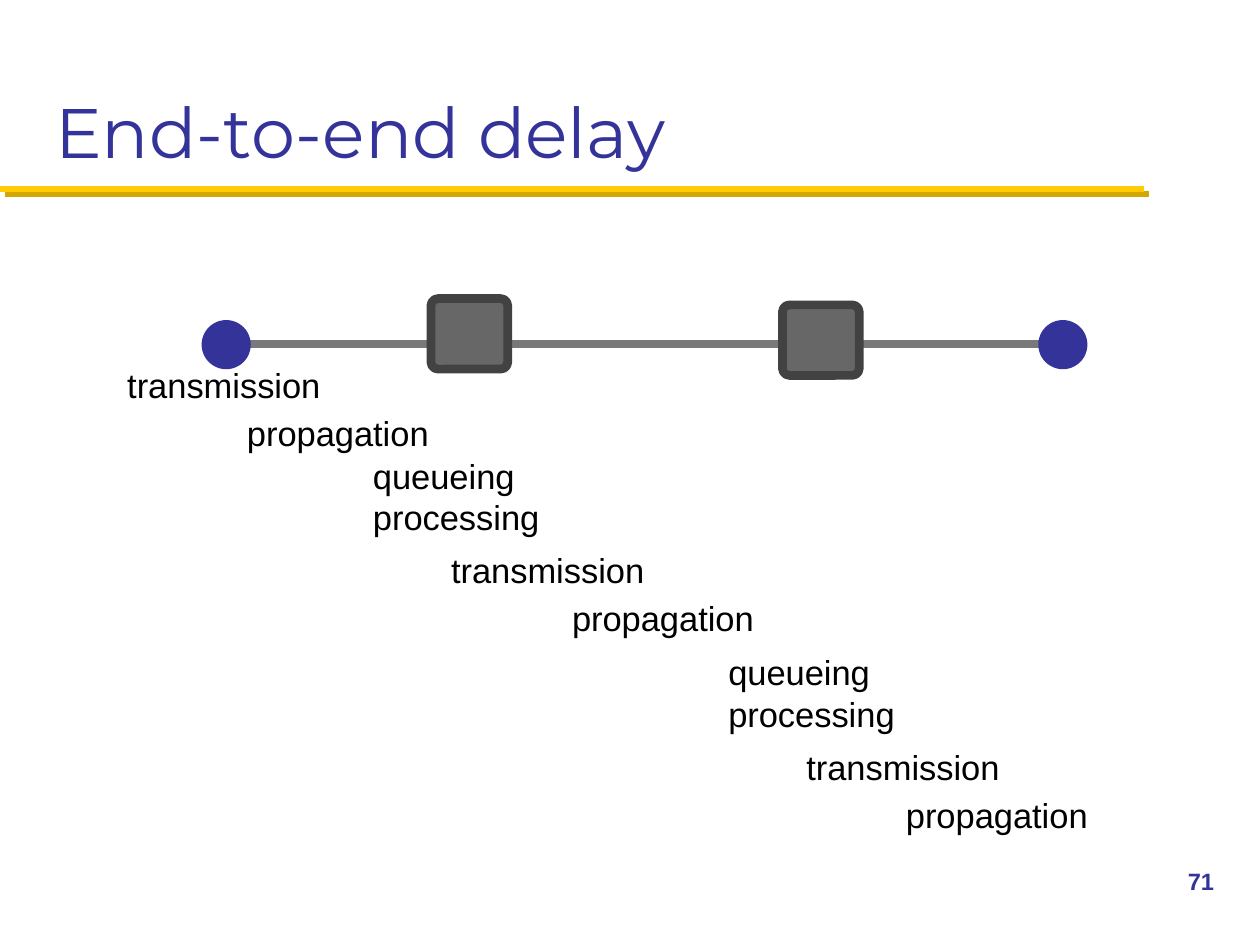
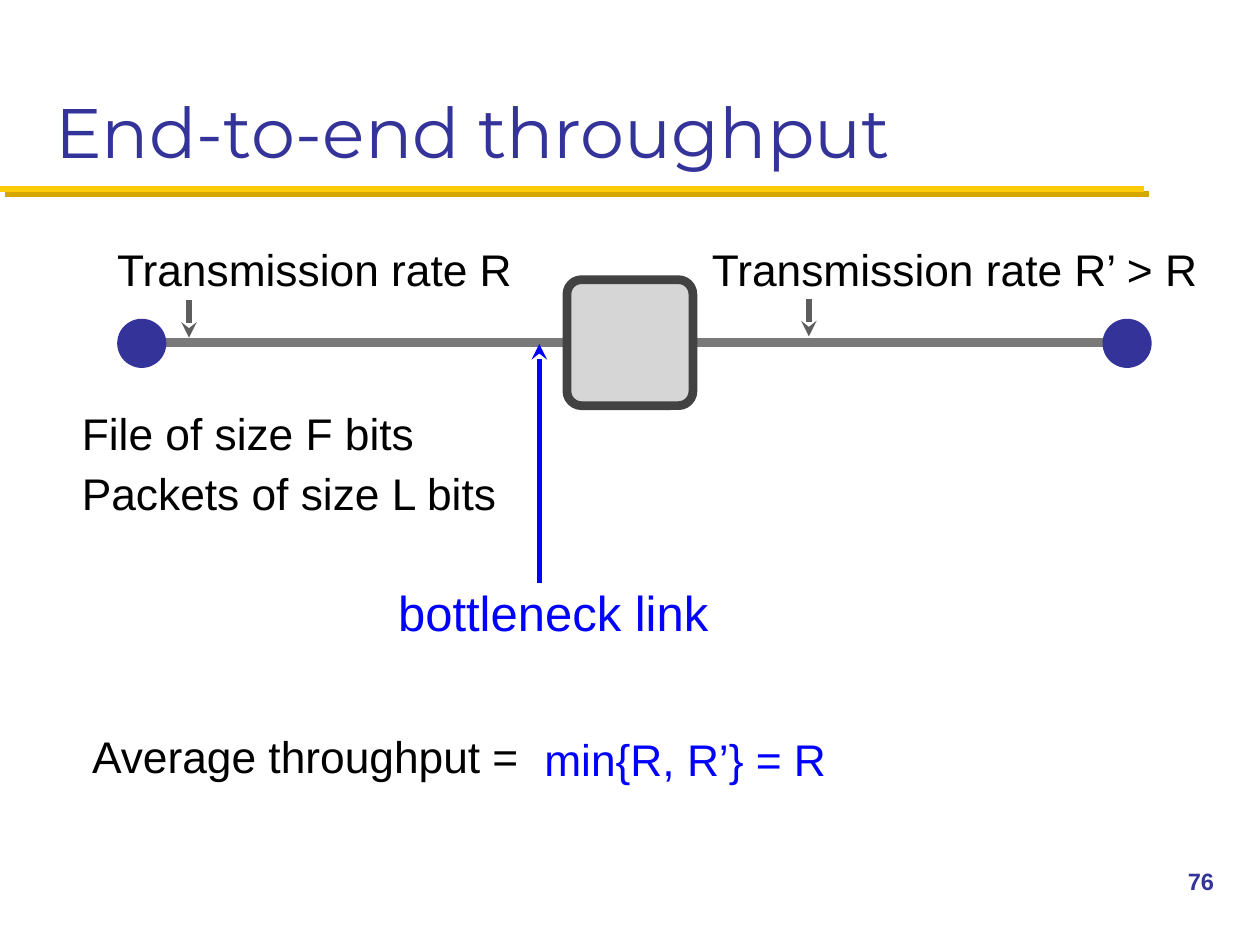
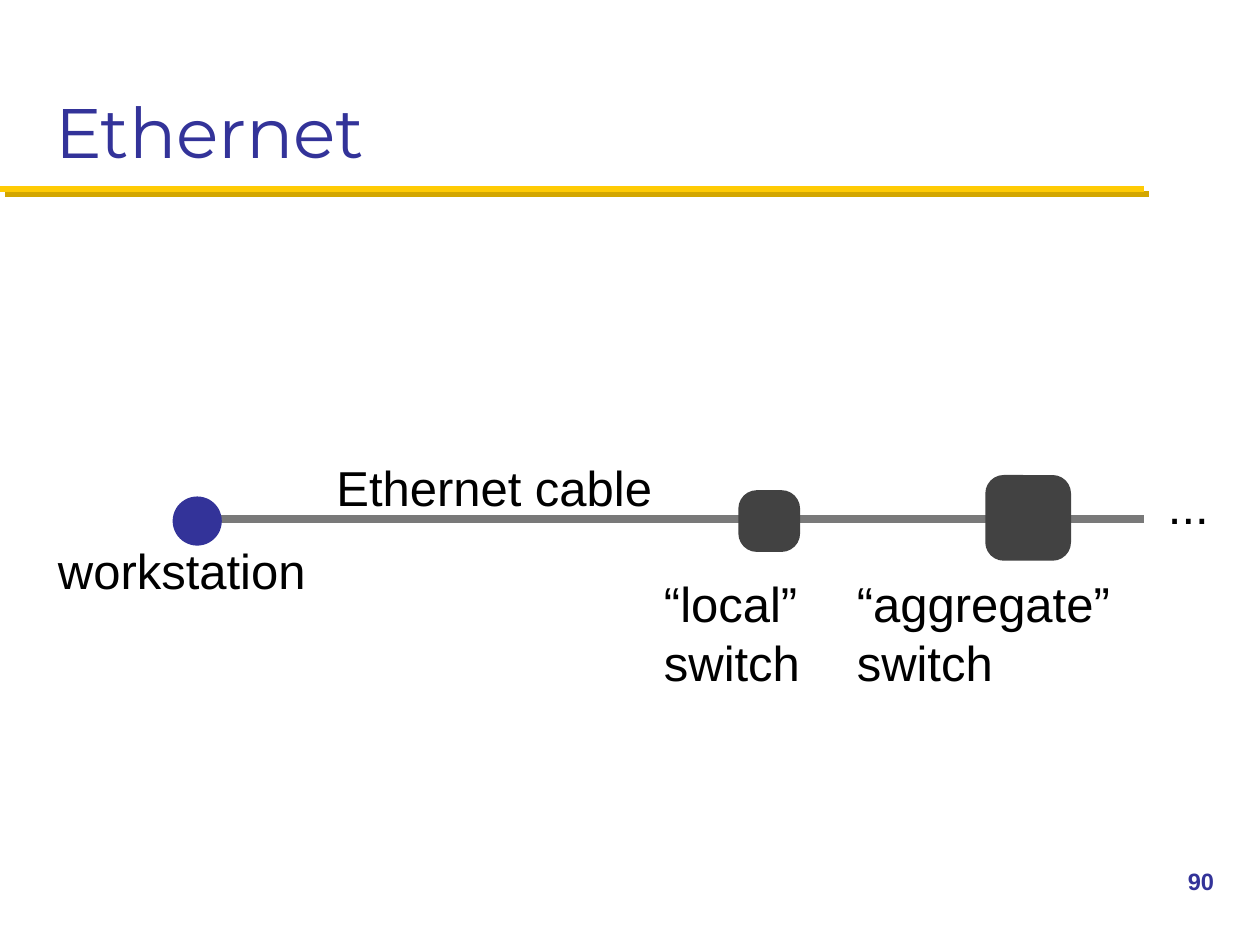
import pptx
import pptx.dml.color
import pptx.enum.shapes
import pptx.enum.text
import pptx.oxml
import pptx.oxml.ns
import pptx.util

Inches = pptx.util.Inches
Pt = pptx.util.Pt
RGBColor = pptx.dml.color.RGBColor
Shape = pptx.enum.shapes.MSO_SHAPE
Anchor = pptx.enum.text.MSO_ANCHOR

INDIGO = RGBColor(0x33, 0x33, 0x99)
YELLOW = RGBColor(0xFF, 0xCB, 0x05)
CABLE = RGBColor(0x79, 0x79, 0x79)
SWITCH_EDGE = RGBColor(0x42, 0x42, 0x42)
SWITCH_GRAY = RGBColor(0x67, 0x67, 0x67)
SWITCH_LIGHT = RGBColor(0xD6, 0xD6, 0xD6)
POINTER = RGBColor(0x5E, 0x5E, 0x5E)
BLUE = RGBColor(0x00, 0x00, 0xFF)
BLACK = RGBColor(0x00, 0x00, 0x00)

HOST_SIZE = 0.39
LABEL_INSET = 0.04
LINE_HEIGHT = 1.2
RULE_SHADOW = (
    '<a:outerShdw %s blurRad="0" dist="53340" dir="2700000" algn="ctr" rotWithShape="0">'
    '<a:srgbClr val="D3A600"/></a:outerShdw>' % pptx.oxml.ns.nsdecls("a")
)

SLIDES = [
    {
        "title": "End-to-end delay",
        "number": "71",
        "cable": (1.85, 8.35, 2.73),
        "hosts": [(1.6, 2.54), (8.24, 2.54)],
        "switches": [
            (3.42, 2.37, 0.61, 0.56, 0.1, SWITCH_GRAY),
            (6.21, 2.42, 0.61, 0.56, 0.1, SWITCH_GRAY),
        ],
        "size": 19.7,
        "labels": [
            ("transmission", 0.97, 2.85, 1.67),
            ("propagation", 1.92, 3.23, 1.67),
            ("queueing", 2.92, 3.57, 1.67),
            ("processing", 2.92, 3.9, 1.67),
            ("transmission", 3.54, 4.32, 1.67),
            ("propagation", 4.5, 4.7, 1.67),
            ("queueing", 5.74, 5.13, 1.67),
            ("processing", 5.74, 5.46, 1.67),
            ("transmission", 6.36, 5.88, 1.67),
            ("propagation", 7.15, 6.26, 1.67),
        ],
    },
    {
        "title": "End-to-end throughput",
        "number": "76",
        "cable": (1.18, 8.98, 2.72),
        "hosts": [(0.93, 2.53), (8.75, 2.53)],
        "switches": [(4.5, 2.22, 1, 1, 0.115, SWITCH_LIGHT)],
        "size": 25.3,
        "labels": [
            ("Transmission rate R", 0.89, 1.88, 3.27),
            ("Transmission rate R’ > R", 5.61, 1.88, 4.22),
            ("File of size F bits", 0.61, 3.18, 3.34),
            ("Packets of size L bits", 0.61, 3.66, 3.73),
            ("Average throughput =", 0.69, 5.75, 4.89),
            ("min{R, R’} = R", 4.28, 5.77, 2.39, {"color": BLUE}),
            ("bottleneck link", 3.12, 4.58, 4.5, {"color": BLUE, "size": 28}),
        ],
        "arrows": [
            (1.5, 2.38, 2.68, POINTER),
            (6.42, 2.37, 2.67, POINTER),
            (4.28, 4.63, 2.73, BLUE),
        ],
    },
    {
        "title": "Ethernet",
        "number": "90",
        "cable": (1.58, 9.08, 4.12),
        "hosts": [(1.37, 3.94)],
        "switches": [
            (5.86, 3.89, 0.49, 0.49, 0.3, None),
            (7.82, 3.77, 0.68, 0.68, 0.214, None),
        ],
        "size": 28,
        "labels": [
            ("workstation", 0.42, 4.25, 2.29),
            ("Ethernet cable", 2.63, 3.59, 2.71),
            ("“local” switch", 5.23, 4.51, 1.73, {"lines": 2}),
            ("“aggregate” switch", 6.76, 4.51, 2.81, {"lines": 2}),
            ("...", 9.23, 3.73, 0.6),
        ],
    },
]


def add_text(page, text, place, size, color, font="Arial", anchor=Anchor.MIDDLE,
             insets=(LABEL_INSET, LABEL_INSET), bold=False):
    box = page.shapes.add_textbox(*map(Inches, place))
    frame = box.text_frame
    frame.word_wrap = True
    frame.vertical_anchor = anchor
    frame.margin_left = frame.margin_right = Inches(insets[0])
    frame.margin_top = frame.margin_bottom = Inches(insets[1])
    para = frame.paragraphs[0]
    span = para.add_run()
    span.text = text
    span.font.name = font
    span.font.size = Pt(size)
    span.font.bold = bold
    span.font.color.rgb = color


def add_line(page, start, end, color, width, arrow=False, shadow=None):
    line = page.shapes.add_connector(
        pptx.enum.shapes.MSO_CONNECTOR.STRAIGHT, *map(Inches, start + end))
    line.line.color.rgb = color
    line.line.width = Pt(width)
    properties = line._element.spPr
    if arrow:
        tip = pptx.oxml.parse_xml(
            '<a:tailEnd %s type="stealth"/>' % pptx.oxml.ns.nsdecls("a"))
        properties.find(pptx.oxml.ns.qn("a:ln")).append(tip)
    effects = pptx.oxml.parse_xml('<a:effectLst %s/>' % pptx.oxml.ns.nsdecls("a"))
    if shadow:
        effects.append(pptx.oxml.parse_xml(shadow))
    properties.append(effects)


def add_filled(page, kind, place, fill, edge=None):
    shape = page.shapes.add_shape(kind, *map(Inches, place))
    shape.shadow.inherit = False
    shape.fill.solid()
    shape.fill.fore_color.rgb = fill
    if edge is None:
        shape.line.fill.background()
    else:
        shape.line.color.rgb = edge
        shape.line.width = Pt(5)
    return shape


def add_switch(page, left, top, width, height, rounding, fill):
    edge = SWITCH_EDGE if fill else None
    switch = add_filled(page, Shape.ROUNDED_RECTANGLE, (left, top, width, height),
                        fill or SWITCH_EDGE, edge)
    switch.adjustments[0] = rounding


def add_label(page, default_size, text, left, top, width, style=None):
    style = style or {}
    size = style.get("size", default_size)
    height = 2 * LABEL_INSET + style.get("lines", 1) * size * LINE_HEIGHT / 72
    add_text(page, text, (left, top, width, height), size, style.get("color", BLACK))


def add_frame(page, title, number):
    add_line(page, (0, 1.5), (9.08, 1.5), YELLOW, 3.5, shadow=RULE_SHADOW)
    add_text(page, title, (0.34, 0.17, 9.33, 1.25), 40, INDIGO, "Montserrat",
             Anchor.BOTTOM, (0.1, 0.05))
    add_text(page, number, (9.33, 6.83, 0.67, 0.5), 13.5, INDIGO,
             anchor=Anchor.TOP, insets=(0.1, 0.05), bold=True)


def build_slide(deck, content):
    page = deck.slides.add_slide(deck.slide_layouts[6])
    add_frame(page, content["title"], content["number"])
    left, right, level = content["cable"]
    add_line(page, (left, level), (right, level), CABLE, 5)
    for host in content["hosts"]:
        add_filled(page, Shape.OVAL, host + (HOST_SIZE, HOST_SIZE), INDIGO)
    for switch in content["switches"]:
        add_switch(page, *switch)
    for label in content["labels"]:
        add_label(page, content["size"], *label)
    for x, tail, tip, color in content.get("arrows", []):
        add_line(page, (x, tail), (x, tip), color, 3, arrow=True)


def main():
    deck = pptx.Presentation()
    deck.slide_width = Inches(10)
    deck.slide_height = Inches(7.5)
    for content in SLIDES:
        build_slide(deck, content)
    deck.save("out.pptx")


if __name__ == "__main__":
    main()
